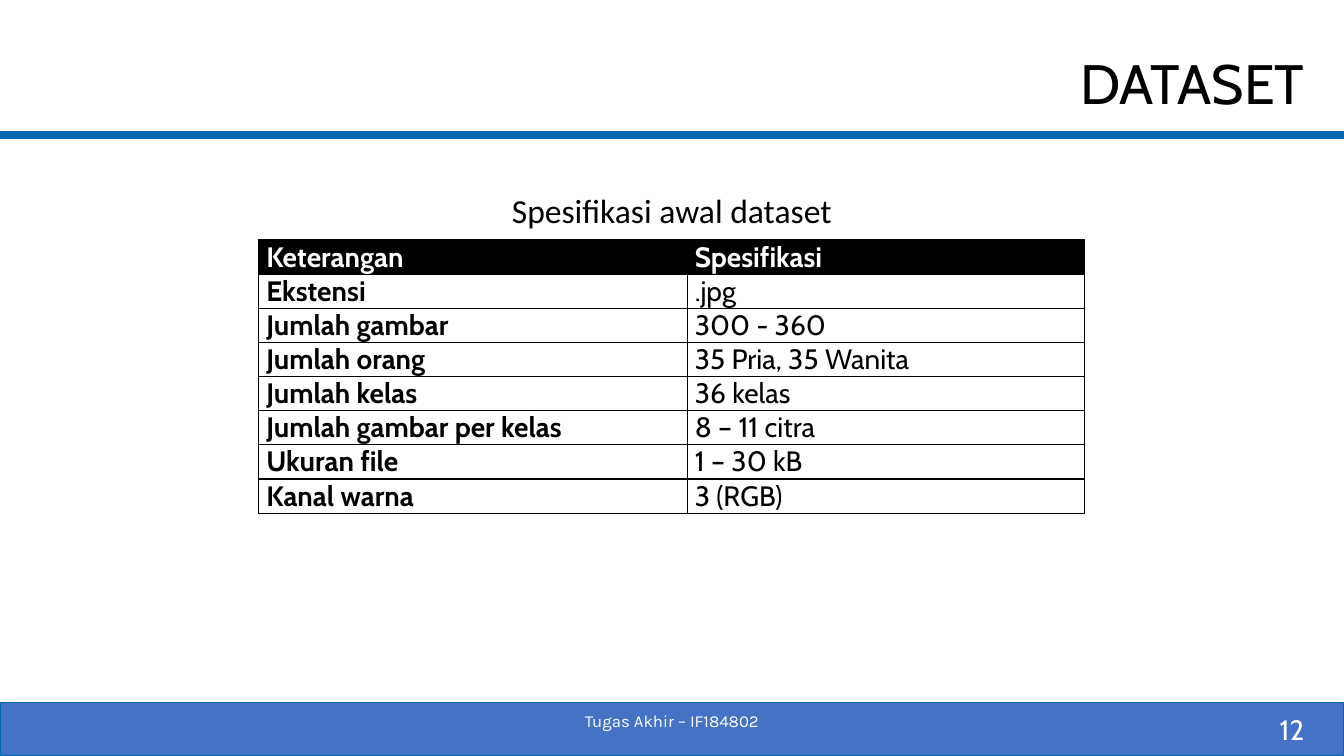
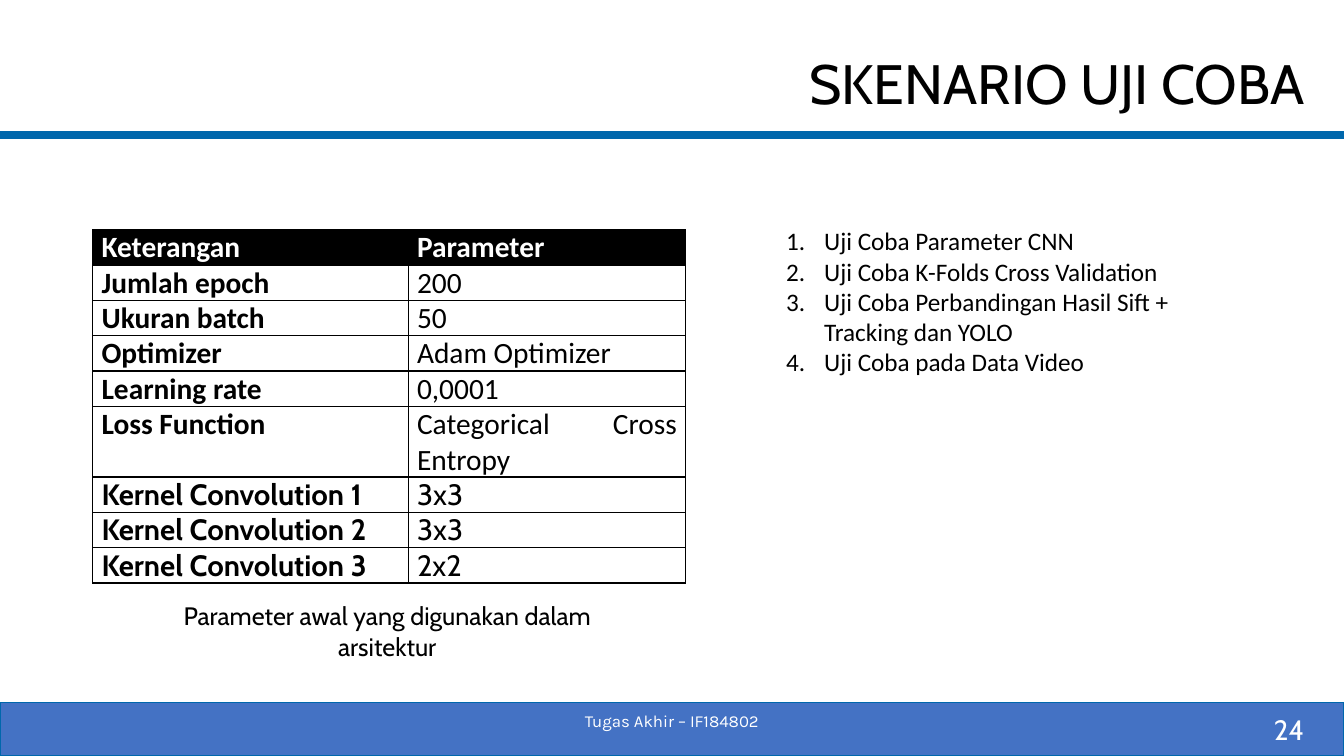
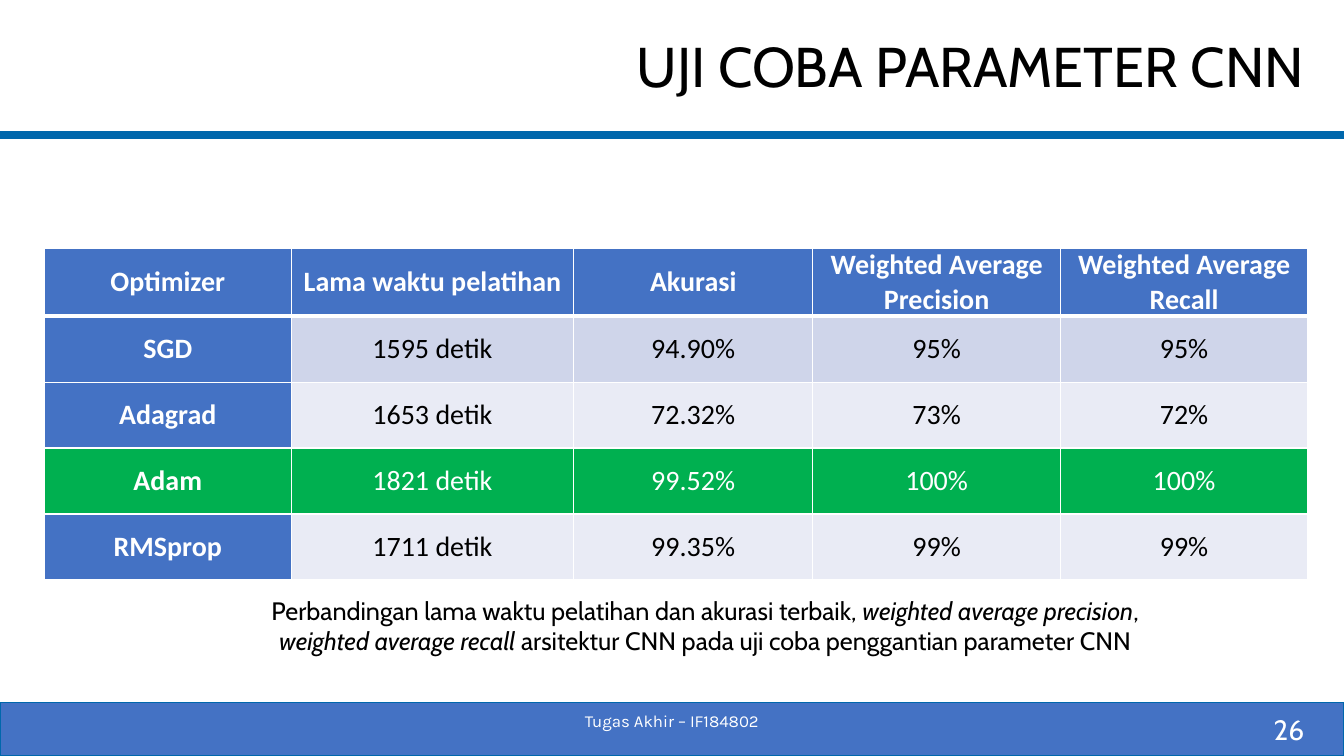
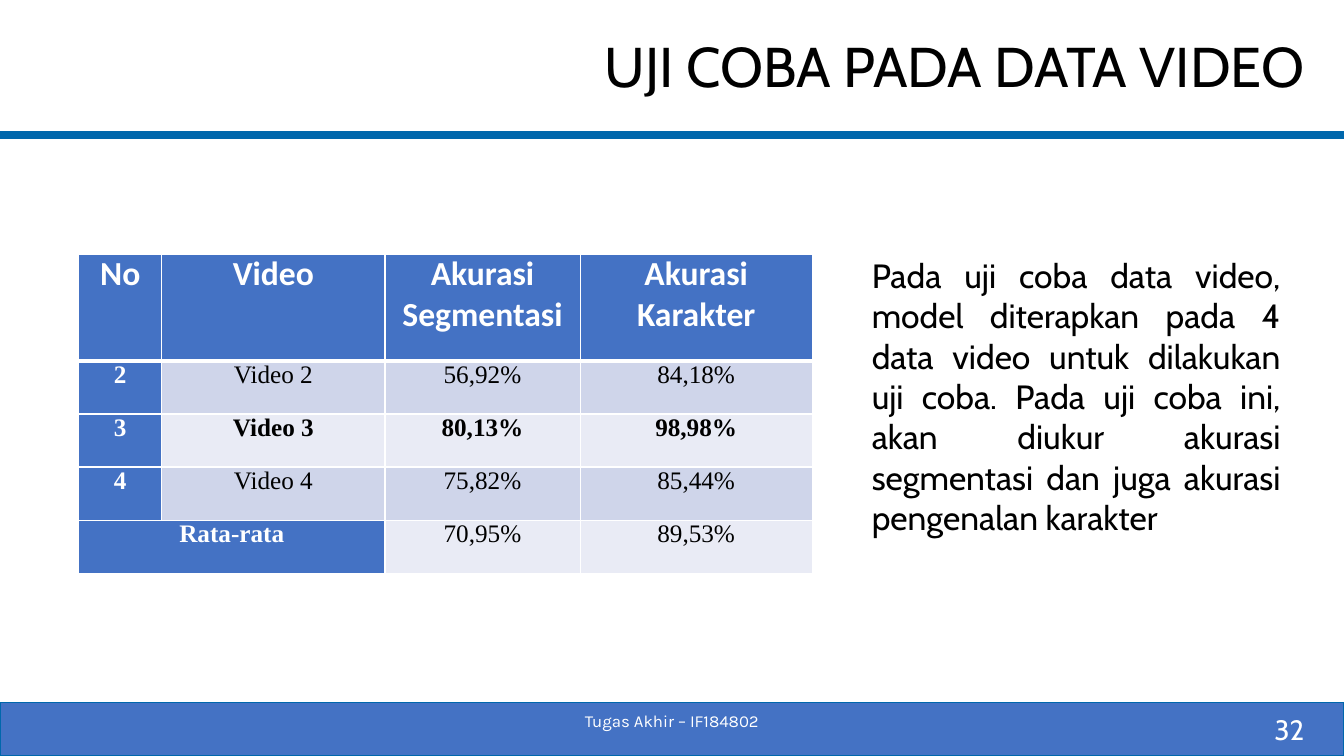
"""Build four thesis slides on the dataset, the test scenario and the test results."""
from dataclasses import dataclass
from typing import Optional

from lxml import etree
from pptx import Presentation
from pptx import util as u
from pptx.dml.color import RGBColor
from pptx.enum import shapes, text
from pptx.oxml import ns

COLOURS = {
    "black": "000000",
    "white": "FFFFFF",
    "rule": "0067AC",
    "blue": "4472C4",
    "band": "CFD5EA",
    "pale": "E9EBF5",
    "green": "00B050",
}
HEADING = "Cabin"
BODY = "Calibri"
SERIF = "Times New Roman"
FOOTER = "Karla"
PAGE_WIDTH, PAGE_HEIGHT = 33.87, 19.05
LEFT, CENTRE, RIGHT, JUSTIFY = (
    text.PP_ALIGN.LEFT, text.PP_ALIGN.CENTER, text.PP_ALIGN.RIGHT, text.PP_ALIGN.JUSTIFY)
TOP, MIDDLE = text.MSO_ANCHOR.TOP, text.MSO_ANCHOR.MIDDLE


@dataclass(frozen=True)
class Area:
    """Position and size in centimetres."""
    left: float
    top: float
    width: float
    height: float

    def lengths(self) -> tuple:
        """Return the four values as lengths."""
        return tuple(u.Cm(value) for value in (self.left, self.top, self.width, self.height))


@dataclass(frozen=True)
class Row:
    """One table row; a None cell joins the cell to its left."""
    cells: tuple
    font: Optional[str] = None
    fill: Optional[str] = None
    bold: bool = False
    height: Optional[float] = None


@dataclass(frozen=True)
class Look:
    """Colours and alignment that a kind of table shares."""
    head: str
    label: Optional[str]
    label_ink: str
    bands: tuple
    border: str
    head_rule: float
    align: text.PP_ALIGN


@dataclass(frozen=True)
class Grid:
    """Content and measures of one table."""
    look: Look
    left: float
    top: float
    widths: tuple
    row_height: float
    rows: tuple
    size: float
    head_size: float
    font: str
    head_font: str
    margin: float
    anchor: text.MSO_ANCHOR = TOP


OUTLINED = Look("black", None, "black", (None,), "black", 1, JUSTIFY)
BANDED = Look("blue", "blue", "white", ("band", "pale"), "white", 3, CENTRE)


def rgb(name: str) -> RGBColor:
    """Look up a named colour."""
    return RGBColor.from_string(COLOURS[name])


def write(frame, content: str, *, font: str, size: float, colour: str = "black",
          bold: bool = False, align: text.PP_ALIGN = LEFT, spacing: Optional[float] = None,
          numbered: bool = False) -> None:
    """Fill a frame, one paragraph per line, with italics between asterisks."""
    for index, line in enumerate(content.split("\n")):
        para = frame.add_paragraph() if index else frame.paragraphs[0]
        para.alignment = align
        if spacing:
            para.line_spacing = spacing
        if numbered:
            properties = para._p.get_or_add_pPr()
            properties.set("marL", str(u.Cm(0.96)))
            properties.set("indent", str(u.Cm(-0.96)))
            etree.SubElement(properties, ns.qn("a:buAutoNum"), type="arabicPeriod")
        for part, words in enumerate(line.split("*")):
            if words:
                span = para.add_run()
                span.text = words
                span.font.name = font
                span.font.size = u.Pt(size)
                span.font.bold = bold
                span.font.italic = part % 2 == 1
                span.font.color.rgb = rgb(colour)


def add_text(page, area: Area, content: str, *, anchor: text.MSO_ANCHOR = TOP, **style) -> None:
    """Add a wrapping text box."""
    box = page.shapes.add_textbox(*area.lengths())
    box.text_frame.word_wrap = True
    box.text_frame.vertical_anchor = anchor
    write(box.text_frame, content, **style)


def set_borders(cell, colour: str, bottom: float) -> None:
    """Draw the four borders of a cell."""
    properties = cell._tc.get_or_add_tcPr()
    for side, width in (("L", 1), ("R", 1), ("T", 1), ("B", bottom)):
        line = etree.SubElement(properties, ns.qn(f"a:ln{side}"), w=str(u.Pt(width)))
        fill = etree.SubElement(line, ns.qn("a:solidFill"))
        etree.SubElement(fill, ns.qn("a:srgbClr"), val=COLOURS[colour])


def set_fill(cell, colour: Optional[str]) -> None:
    """Fill a cell, or leave it clear."""
    if colour:
        cell.fill.solid()
        cell.fill.fore_color.rgb = rgb(colour)
    else:
        cell.fill.background()


def add_grid(page, grid: Grid) -> None:
    """Add a table with a heading row and a label column."""
    look = grid.look
    heights = [row.height or grid.row_height for row in grid.rows]
    area = Area(grid.left, grid.top, sum(grid.widths), sum(heights))
    table = page.shapes.add_table(len(heights), len(grid.widths), *area.lengths()).table
    table.horz_banding = False
    for column, width in zip(table.columns, grid.widths):
        column.width = u.Cm(width)
    for y, (row, height) in enumerate(zip(grid.rows, heights)):
        table.rows[y].height = u.Cm(height)
        for x, content in enumerate(row.cells):
            cell = table.cell(y, x)
            heading, label = y == 0, x == 0
            if heading:
                fill, ink = look.head, "white"
            elif label:
                fill, ink = row.fill or look.label, look.label_ink
            else:
                fill = row.fill or look.bands[(y - 1) % len(look.bands)]
                ink = "white" if row.fill else "black"
            set_borders(cell, look.border, look.head_rule if heading else 1)
            set_fill(cell, fill)
            if content is None:
                table.cell(y, x - 1).merge(cell)
                continue
            cell.margin_left = cell.margin_right = u.Cm(grid.margin)
            cell.margin_top = cell.margin_bottom = 0
            cell.vertical_anchor = grid.anchor
            write(cell.text_frame, content, colour=ink, align=look.align,
                  font=grid.head_font if heading else row.font or grid.font,
                  size=grid.head_size if heading else grid.size,
                  bold=heading or label or row.bold)


def add_page(deck, title: str, number: int, *, size: float = 40,
             spacing: Optional[float] = None):
    """Add a page with its title, rule and footer band."""
    page = deck.slides.add_slide(deck.slide_layouts[6])
    rule = page.shapes.add_connector(
        shapes.MSO_CONNECTOR.STRAIGHT, 0, u.Cm(3.4), u.Cm(PAGE_WIDTH), u.Cm(3.4))
    rule.line.color.rgb = rgb("rule")
    rule.line.width = u.Pt(6)
    etree.SubElement(rule._element.spPr, ns.qn("a:effectLst"))
    add_text(page, Area(3.91, 0.58, 29.21, 2.13), title, font=HEADING, size=size,
             align=RIGHT, anchor=MIDDLE, spacing=spacing)
    band = page.shapes.add_shape(
        shapes.MSO_SHAPE.RECTANGLE, *Area(0, 17.7, PAGE_WIDTH, 1.35).lengths())
    band.shadow.inherit = False
    band.fill.solid()
    band.fill.fore_color.rgb = rgb("blue")
    band.line.color.rgb = rgb("rule")
    band.line.width = u.Pt(1)
    add_text(page, Area(25.5, 17.86, 7.62, 1.02), str(number), font=HEADING, size=20,
             colour="white", align=RIGHT, anchor=MIDDLE)
    add_text(page, Area(11.22, 17.65, 11.43, 1.02), "Tugas Akhir – IF184802", font=FOOTER,
             size=12, colour="white", align=CENTRE, anchor=MIDDLE)
    return page


def add_dataset(deck) -> None:
    """Add the dataset page."""
    page = add_page(deck, "DATASET", 12, size=39.6, spacing=1.5)
    add_grid(page, Grid(
        OUTLINED, 6.52, 6.05, (10.8, 10.02), 0.86, (
            Row(("Keterangan", "Spesifikasi")),
            Row(("Ekstensi", ".jpg")),
            Row(("Jumlah gambar", "300 - 360")),
            Row(("Jumlah orang", "35 Pria, 35 Wanita")),
            Row(("Jumlah kelas", "36 kelas")),
            Row(("Jumlah gambar per kelas", "8 – 11 citra")),
            Row(("Ukuran file", "1 – 30 kB")),
            Row(("Kanal warna", "3 (RGB)")),
        ), size=20, head_size=20, font=HEADING, head_font=HEADING, margin=0.19))
    add_text(page, Area(12.55, 4.67, 8.76, 1.27), "Spesifikasi awal dataset",
             font=BODY, size=24, align=CENTRE)


def add_scenario(deck) -> None:
    """Add the test scenario page."""
    page = add_page(deck, "SKENARIO UJI COBA", 24, size=39.6, spacing=1.5)
    add_text(page, Area(19.56, 5.56, 11.86, 4.11),
             "Uji Coba Parameter CNN\n"
             "Uji Coba K-Folds Cross Validation\n"
             "Uji Coba Perbandingan Hasil Sift + Tracking dan YOLO\n"
             "Uji Coba pada Data Video",
             font=BODY, size=18, numbered=True)
    add_grid(page, Grid(
        OUTLINED, 2.34, 5.79, (7.95, 6.99), 0.89, (
            Row(("Keterangan", "Parameter")),
            Row(("Jumlah epoch", "200")),
            Row(("Ukuran batch", "50")),
            Row(("Optimizer", "Adam Optimizer")),
            Row(("Learning rate", "0,0001")),
            Row(("Loss Function", "Categorical Cross Entropy"), height=1.78),
            Row(("Kernel Convolution 1", "3x3"), font=HEADING),
            Row(("Kernel Convolution 2", "3x3"), font=HEADING),
            Row(("Kernel Convolution 3", "2x2"), font=HEADING),
        ), size=21, head_size=21, font=BODY, head_font=BODY, margin=0.22))
    add_text(page, Area(3.66, 15.01, 12.2, 1.8),
             "Parameter awal yang digunakan dalam arsitektur",
             font=HEADING, size=18, align=CENTRE)


def add_parameter_test(deck) -> None:
    """Add the optimizer comparison page."""
    page = add_page(deck, "UJI COBA PARAMETER CNN", 26)
    add_grid(page, Grid(
        BANDED, 1.12, 6.25, (6.22, 7.12, 6.02, 6.25, 6.22), 1.66, (
            Row(("Optimizer", "Lama waktu pelatihan", "Akurasi",
                 "Weighted Average Precision", "Weighted Average Recall"), height=1.72),
            Row(("SGD", "1595 detik", "94.90%", "95%", "95%")),
            Row(("Adagrad", "1653 detik", "72.32%", "73%", "72%")),
            Row(("Adam", "1821 detik", "99.52%", "100%", "100%"), fill="green"),
            Row(("RMSprop", "1711 detik", "99.35%", "99%", "99%")),
        ), size=20, head_size=20, font=BODY, head_font=BODY, margin=0.13, anchor=MIDDLE))
    add_text(page, Area(6.25, 14.88, 23.04, 1.8),
             "Perbandingan lama waktu pelatihan dan akurasi terbaik, "
             "*weighted average precision*, *weighted average recall *"
             "arsitektur CNN pada uji coba penggantian parameter CNN",
             font=HEADING, size=18, align=CENTRE)


def add_video_test(deck) -> None:
    """Add the video test page."""
    page = add_page(deck, "UJI COBA PADA DATA VIDEO", 32)
    add_grid(page, Grid(
        BANDED, 1.98, 6.4, (2.1, 5.62, 4.92, 5.85), 1.34, (
            Row(("No", "Video", "Akurasi Segmentasi", "Akurasi Karakter"), height=2.69),
            Row(("2", "Video 2", "56,92%", "84,18%")),
            Row(("3", "Video 3", "80,13%", "98,98%"), bold=True),
            Row(("4", "Video 4", "75,82%", "85,44%")),
            Row(("Rata-rata", None, "70,95%", "89,53%")),
        ), size=18, head_size=24, font=SERIF, head_font=BODY, margin=0.19))
    add_text(page, Area(21.72, 6.3, 10.8, 7.44),
             "Pada uji coba data video, model diterapkan pada 4 data video untuk dilakukan "
             "uji coba. Pada uji coba ini, akan diukur akurasi segmentasi dan juga akurasi "
             "pengenalan karakter",
             font=HEADING, size=24, align=JUSTIFY)


def main() -> None:
    """Build and save the deck."""
    deck = Presentation()
    deck.slide_width, deck.slide_height = u.Cm(PAGE_WIDTH), u.Cm(PAGE_HEIGHT)
    for add in (add_dataset, add_scenario, add_parameter_test, add_video_test):
        add(deck)
    deck.save("out.pptx")


if __name__ == "__main__":
    main()
